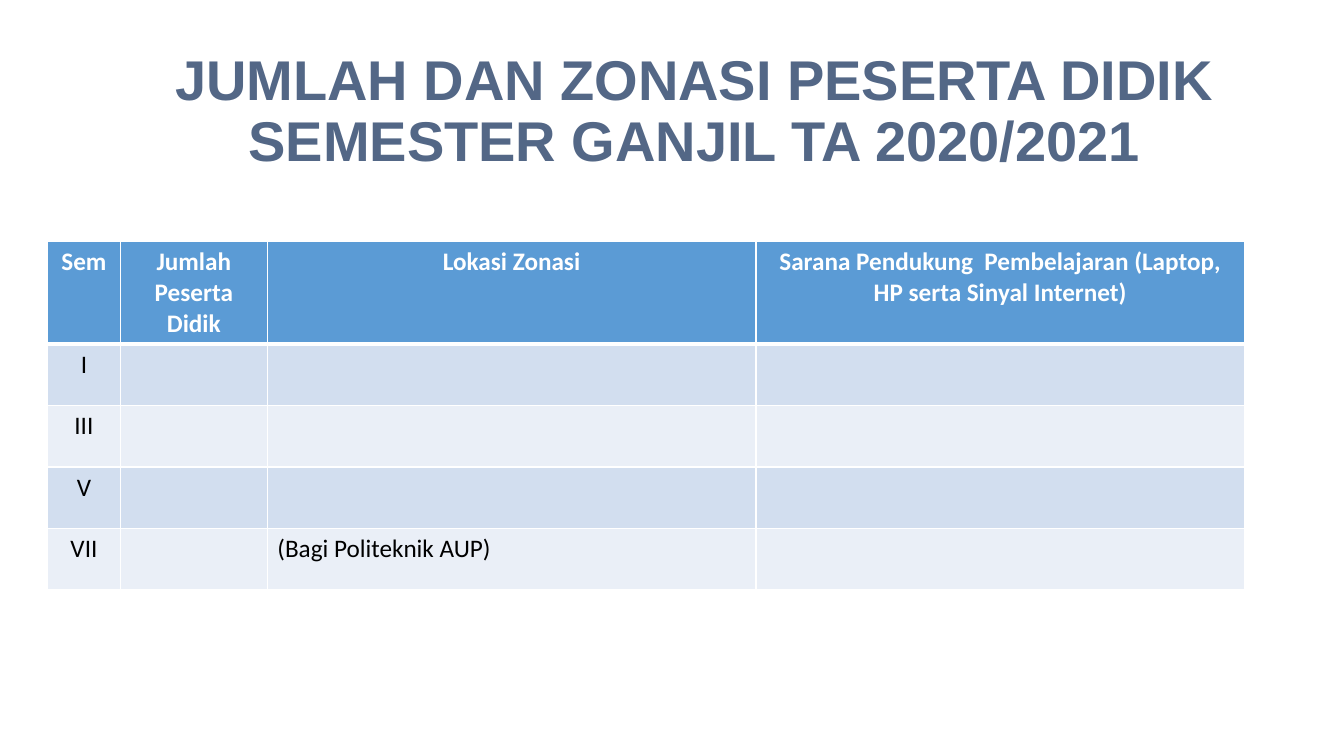
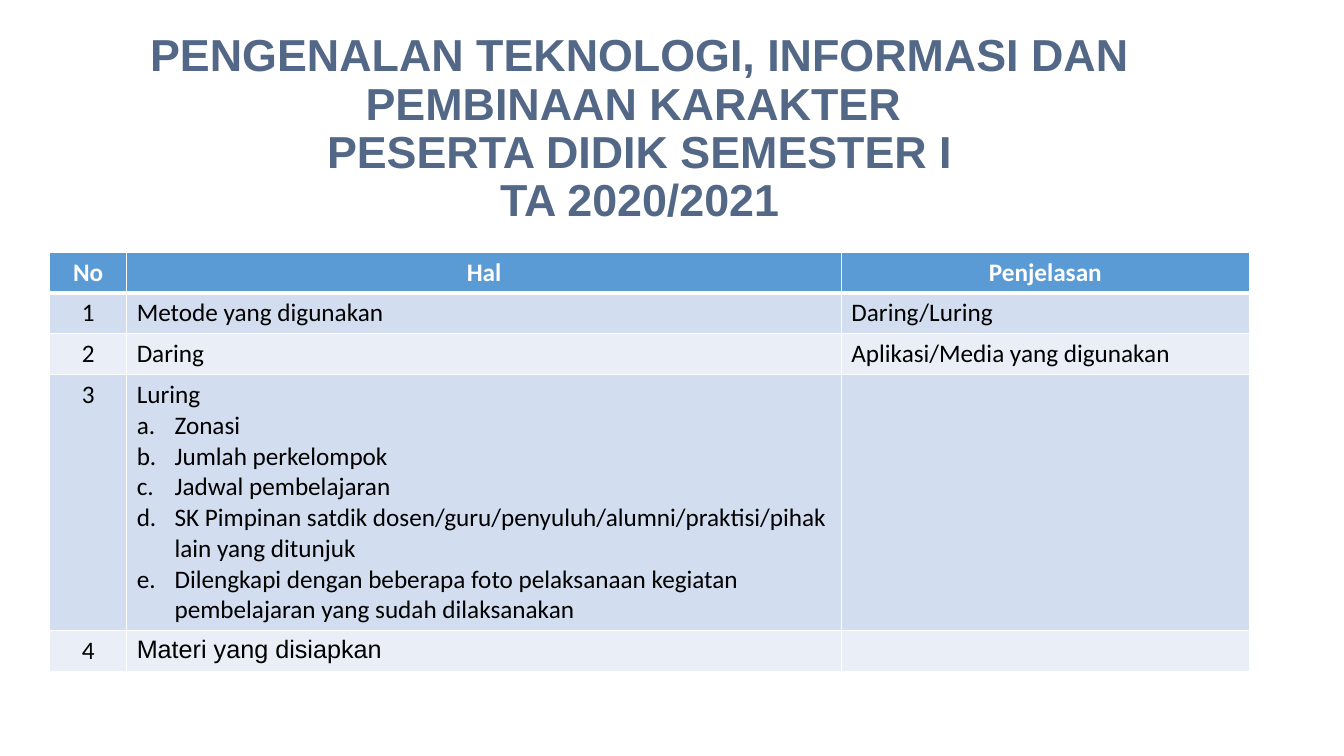
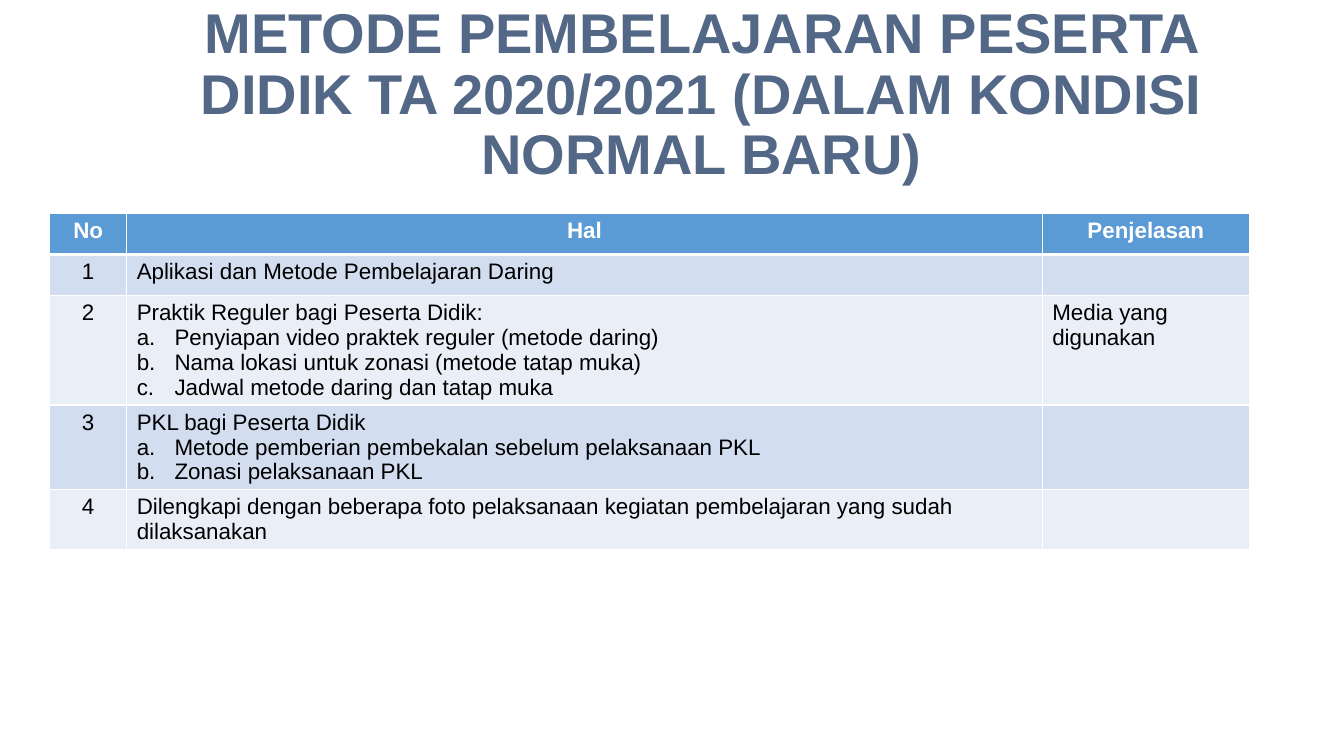
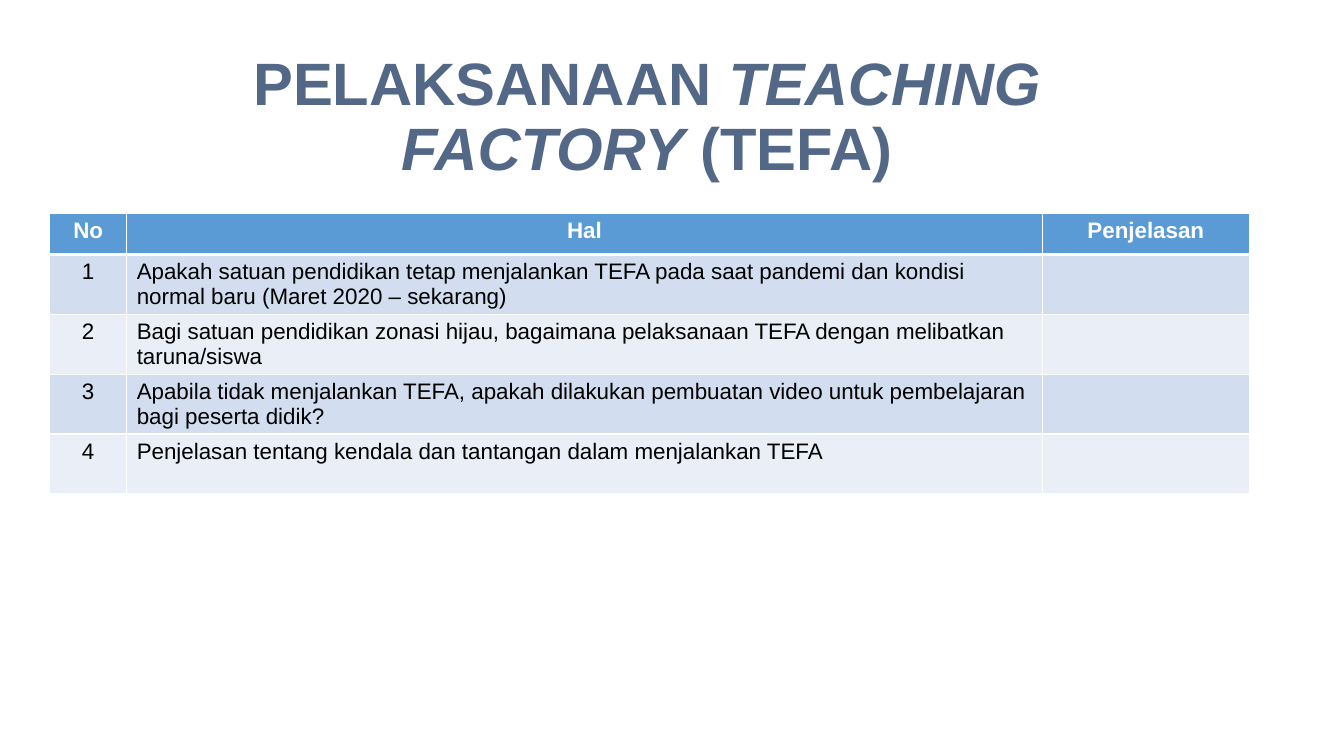
import pptx
import pptx.dml.color
import pptx.enum.text
import pptx.oxml
import pptx.oxml.ns
import pptx.util

Pt = pptx.util.Pt
ALIGN = pptx.enum.text.PP_ALIGN
ANCHOR = pptx.enum.text.MSO_ANCHOR

COLORS = {
    "title": "536786",
    "header": "5B9BD5",
    "band_dark": "D2DEEF",
    "band_light": "EAEFF7",
    "white": "FFFFFF",
    "black": "000000",
}
TITLE_ONLY_LAYOUT = 5
LIST_INDENT = 27
TOPIC_COLUMNS = (55, 654, 148)
TOPIC_HEADINGS = ("No", "Hal", "Penjelasan")


def rgb(name):
    return pptx.dml.color.RGBColor.from_string(COLORS[name])


def add_text(paragraph, text, *, size, font="Arial", color="black",
             bold=False, italic=False, align=ALIGN.LEFT):
    """Append one formatted run to a paragraph."""
    paragraph.alignment = align
    run = paragraph.add_run()
    run.text = text
    run.font.size = Pt(size)
    run.font.name = font
    run.font.bold = bold
    run.font.italic = italic
    run.font.color.rgb = rgb(color)


def nth_paragraph(frame, index):
    return frame.paragraphs[0] if index == 0 else frame.add_paragraph()


# Title: each line is a list of (text, italic) pieces
def fill_title(slide, box, lines, size, anchor):
    title = slide.shapes.title
    title.left, title.top, title.width, title.height = map(Pt, box)
    frame = title.text_frame
    frame.auto_size = pptx.enum.text.MSO_AUTO_SIZE.NONE
    frame.word_wrap = True
    frame.vertical_anchor = anchor
    frame.margin_left = frame.margin_right = Pt(9.6)
    frame.margin_top = frame.margin_bottom = Pt(4.8)
    for index, pieces in enumerate(lines):
        line = nth_paragraph(frame, index)
        line.line_spacing = 0.9
        for text, italic in pieces:
            add_text(line, text, size=size, color="title", bold=True,
                     italic=italic, align=ALIGN.CENTER)


# Cell borders and lettered lists
def set_borders(cell, top, bottom):
    properties = cell._tc.get_or_add_tcPr()
    for side, width in (("L", 1), ("R", 1), ("T", top), ("B", bottom)):
        properties.append(pptx.oxml.parse_xml(
            f'<a:ln{side} {pptx.oxml.ns.nsdecls("a")} w="{Pt(width)}">'
            f'<a:solidFill><a:srgbClr val="{COLORS["white"]}"/></a:solidFill>'
            f'</a:ln{side}>'))


def set_letter(paragraph):
    properties = paragraph._p.get_or_add_pPr()
    properties.set("marL", str(Pt(LIST_INDENT)))
    properties.set("indent", str(-Pt(LIST_INDENT)))
    properties.append(pptx.oxml.parse_xml(
        f'<a:buAutoNum {pptx.oxml.ns.nsdecls("a")} type="alphaLcPeriod"/>'))


def fill_cell(cell, text, row, centered, size, font):
    """Write a cell; lines after the first become a lettered list."""
    is_header = row == 0
    set_borders(cell, top=3 if row == 1 else 1, bottom=3 if is_header else 1)
    cell.fill.solid()
    band = "band_dark" if row % 2 else "band_light"
    cell.fill.fore_color.rgb = rgb("header" if is_header else band)
    if not text:
        return
    for index, line in enumerate(text.split("\n")):
        paragraph = nth_paragraph(cell.text_frame, index)
        add_text(paragraph, line, size=size, font=font, bold=is_header,
                 color="white" if is_header else "black",
                 align=ALIGN.CENTER if centered else ALIGN.LEFT)
        if index:
            set_letter(paragraph)


# Table: header row, banded body rows, centred first column
def add_banded_table(slide, left, top, columns, heights, rows, size, font,
                     cell_fonts):
    table = slide.shapes.add_table(
        len(rows), len(columns), Pt(left), Pt(top),
        Pt(sum(columns)), Pt(sum(heights))).table
    for column, width in zip(table.columns, columns):
        column.width = Pt(width)
    for row, (height, texts) in enumerate(zip(heights, rows)):
        table.rows[row].height = Pt(height)
        for column, text in enumerate(texts):
            fill_cell(table.cell(row, column), text, row,
                      centered=row == 0 or column == 0, size=size,
                      font=cell_fonts.get((row, column), font))


def add_table_slide(deck, *, title_box, title, title_size, table_top, columns,
                    heights, rows, title_anchor=ANCHOR.MIDDLE, table_left=35.5,
                    size=16, font="Arial", cell_fonts=None):
    slide = deck.slides.add_slide(deck.slide_layouts[TITLE_ONLY_LAYOUT])
    fill_title(slide, title_box, title, title_size, title_anchor)
    add_banded_table(slide, table_left, table_top, columns, heights, rows,
                     size, font, cell_fonts or {})


def main():
    deck = pptx.Presentation()
    deck.slide_width, deck.slide_height = Pt(960), Pt(540)

    # Students and zones
    add_table_slide(
        deck, title_box=(88, 34, 816, 93.6), title_size=40,
        title=[[("JUMLAH DAN ZONASI PESERTA DIDIK SEMESTER GANJIL TA 2020/2021", False)]],
        table_left=34, table_top=172.5, columns=(52, 105, 349, 349),
        heights=(73.5, 43.8, 43.8, 43.8, 43.8), size=18, font="Calibri",
        rows=[
            ("Sem", "Jumlah Peserta Didik", "Lokasi Zonasi",
             "Sarana Pendukung  Pembelajaran (Laptop, HP serta Sinyal Internet)"),
            ("I", "", "", ""),
            ("III", "", "", ""),
            ("V", "", "", ""),
            ("VII", "", "(Bagi Politeknik AUP)", ""),
        ])

    # Technology and character building
    add_table_slide(
        deck, title_box=(22, 20, 870, 145.5), title_size=32,
        title=[[("PENGENALAN TEKNOLOGI, INFORMASI DAN PEMBINAAN KARAKTER ", False)],
               [("PESERTA DIDIK SEMESTER I", False)],
               [("TA 2020/2021", False)]],
        table_top=180, columns=(55, 510.5, 291.5),
        heights=(29.2, 29.2, 29.2, 183, 29.2), size=18, font="Calibri",
        cell_fonts={(4, 1): "Arial"},
        rows=[
            TOPIC_HEADINGS,
            ("1", "Metode yang digunakan", "Daring/Luring"),
            ("2", "Daring", "Aplikasi/Media yang digunakan"),
            ("3", "Luring\nZonasi\nJumlah perkelompok\nJadwal pembelajaran\n"
                  "SK Pimpinan satdik dosen/guru/penyuluh/alumni/praktisi/pihak "
                  "lain yang ditunjuk\n"
                  "Dilengkapi dengan beberapa foto pelaksanaan kegiatan "
                  "pembelajaran yang sudah dilaksanakan", ""),
            ("4", "Materi yang disiapkan", ""),
        ])

    # Learning methods
    add_table_slide(
        deck, title_box=(96.5, 0, 809, 137.5), title_size=40,
        title=[[("METODE PEMBELAJARAN PESERTA DIDIK TA 2020/2021 "
                 "(DALAM KONDISI NORMAL BARU)", False)]],
        table_top=152.5, columns=TOPIC_COLUMNS,
        heights=(29.2, 29.2, 78.4, 60.6, 43),
        rows=[
            TOPIC_HEADINGS,
            ("1", "Aplikasi dan Metode Pembelajaran Daring", ""),
            ("2", "Praktik Reguler bagi Peserta Didik:\n"
                  "Penyiapan video praktek reguler (metode daring)\n"
                  "Nama lokasi untuk zonasi (metode tatap muka)\n"
                  "Jadwal metode daring dan tatap muka", "Media yang digunakan"),
            ("3", "PKL bagi Peserta Didik\n"
                  "Metode pemberian pembekalan sebelum pelaksanaan PKL\n"
                  "Zonasi pelaksanaan PKL", ""),
            ("4", "Dilengkapi dengan beberapa foto pelaksanaan kegiatan "
                  "pembelajaran yang sudah dilaksanakan", ""),
        ])

    # Teaching factory
    add_table_slide(
        deck, title_box=(77, 34, 770.5, 137.5), title_size=42.7,
        title=[[("PELAKSANAAN ", False), ("TEACHING FACTORY ", True),
                ("(TEFA)", False)]],
        title_anchor=ANCHOR.TOP, table_top=152.5, columns=TOPIC_COLUMNS,
        heights=(29.2, 42.8, 42.8, 42.8, 42.8),
        rows=[
            TOPIC_HEADINGS,
            ("1", "Apakah satuan pendidikan tetap menjalankan TEFA pada saat "
                  "pandemi dan kondisi normal baru (Maret 2020 – sekarang)", ""),
            ("2", "Bagi satuan pendidikan zonasi hijau, bagaimana pelaksanaan "
                  "TEFA dengan melibatkan taruna/siswa", ""),
            ("3", "Apabila tidak menjalankan TEFA, apakah dilakukan pembuatan "
                  "video untuk pembelajaran bagi peserta didik?", ""),
            ("4", "Penjelasan tentang kendala dan tantangan dalam menjalankan "
                  "TEFA", ""),
        ])

    deck.save("out.pptx")


if __name__ == "__main__":
    main()
